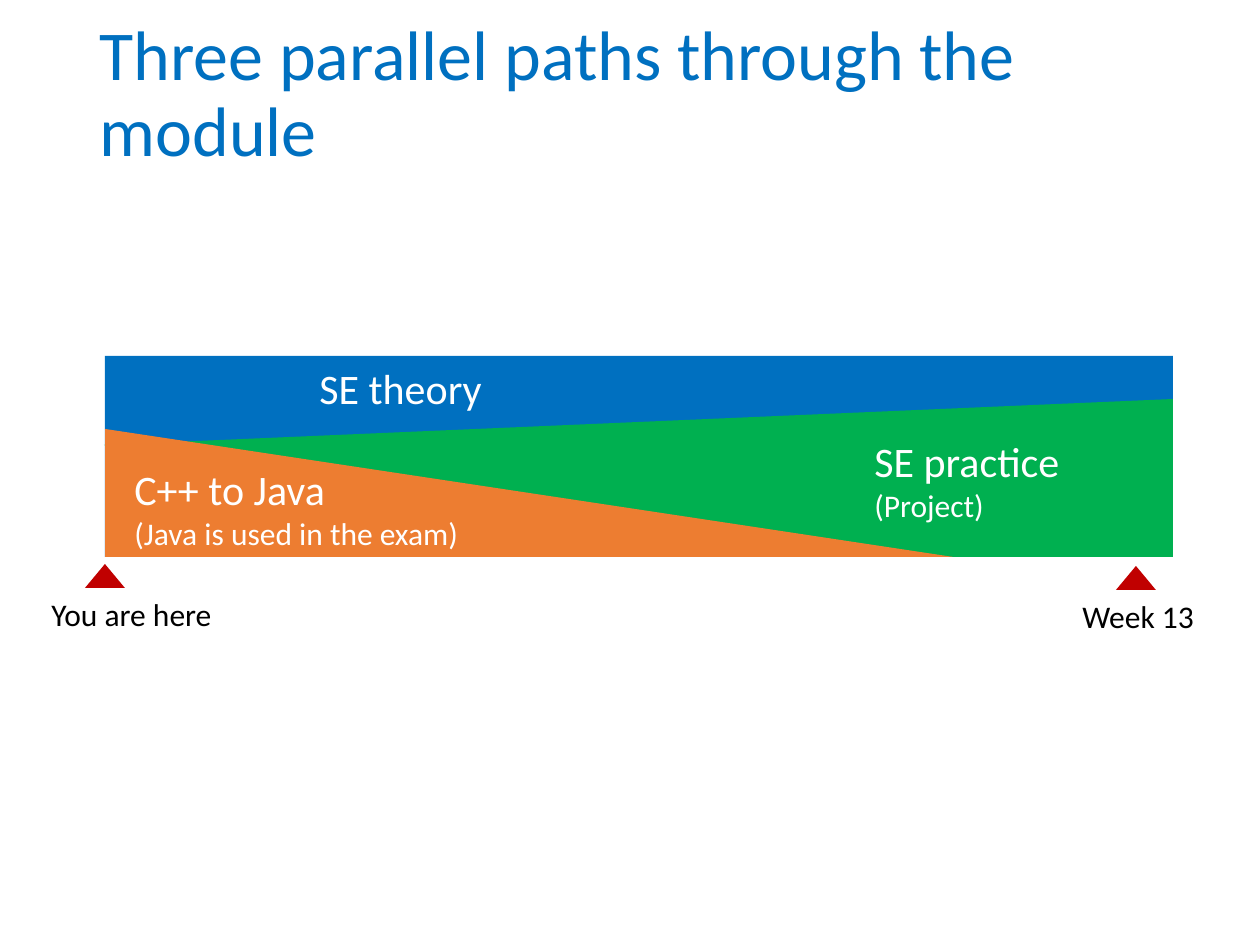
import pptx
import pptx.dml.color
import pptx.enum.shapes
import pptx.enum.text
import pptx.util

PX = 914400 / 126
FONT = "Calibri"
COLORS = {
    "theory": "0070C0",
    "practice": "00B050",
    "java": "ED7D31",
    "marker": "C00000",
    "light": "FFFFFF",
    "dark": "000000",
}
SHAPES = pptx.enum.shapes.MSO_SHAPE


def px(*lengths):
    return [pptx.util.Emu(round(length * PX)) for length in lengths]


def rgb(name):
    return pptx.dml.color.RGBColor.from_string(COLORS[name])


def paint(shape, color):
    shape.shadow.inherit = False
    shape.fill.solid()
    shape.fill.fore_color.rgb = rgb(color)
    shape.line.fill.background()


def style(paragraph, size, color):
    paragraph.font.name = FONT
    paragraph.font.size = pptx.util.Pt(size)
    paragraph.font.color.rgb = rgb(color)


def set_title(slide, text):
    title = slide.shapes.title
    title.left, title.top, title.width, title.height = px(87, 50, 1086, 92)
    frame = title.text_frame
    frame.text = text
    frame.word_wrap = True
    frame.auto_size = pptx.enum.text.MSO_AUTO_SIZE.NONE
    frame.vertical_anchor = pptx.enum.text.MSO_ANCHOR.MIDDLE
    heading = frame.paragraphs[0]
    heading.alignment = pptx.enum.text.PP_ALIGN.LEFT
    heading.line_spacing = 0.9
    style(heading, 40, "theory")


def add_preset(shapes, preset, box, color):
    paint(shapes.add_shape(preset, *px(*box)), color)


def add_area(shapes, corners, color):
    builder = shapes.build_freeform(*corners[0], scale=PX)
    builder.add_line_segments(corners[1:], close=True)
    paint(builder.convert_to_shape(), color)


def add_label(shapes, box, lines, color, wrap=False):
    """Add a text box; lines holds one (text, point size) pair per paragraph."""
    frame = shapes.add_textbox(*px(*box)).text_frame
    frame.word_wrap = wrap
    for number, (text, size) in enumerate(lines):
        paragraph = frame.add_paragraph() if number else frame.paragraphs[0]
        paragraph.text = text
        style(paragraph, size, color)


def add_milestone(shapes, marker_left, marker_top, label_left, label_width, text):
    """Add a marker under the band with its caption below."""
    label_box = (label_left, marker_top + 25, label_width, 50)
    add_label(shapes, label_box, [(text, 18)], "dark", wrap=True)
    add_preset(shapes, SHAPES.ISOSCELES_TRIANGLE,
               (marker_left, marker_top, 40, 24), "marker")


def main():
    presentation = pptx.Presentation()
    presentation.slide_width, presentation.slide_height = px(1260, 945)
    slide = presentation.slides.add_slide(presentation.slide_layouts[5])
    set_title(slide, "Three parallel paths through the module")

    paths = slide.shapes.add_group_shape().shapes
    add_preset(paths, SHAPES.RECTANGLE, (105, 356, 1068, 201), "theory")
    add_area(paths, [(1173, 557), (1173, 399), (104, 445), (713, 557)], "practice")
    add_label(paths, (862, 429, 213, 102),
              [("SE practice", 24), ("(Project)", 18)], "light")
    add_label(paths, (307, 356, 189, 88), [("SE theory", 24)], "light")
    add_preset(paths, SHAPES.RIGHT_TRIANGLE, (105, 429, 848, 128), "java")
    add_label(paths, (122, 457, 353, 102),
              [("C++ to Java", 24), ("(Java is used in the exam)", 18)], "light")

    add_milestone(slide.shapes, 85, 564, 39, 207, "You are here")
    add_milestone(slide.shapes, 1116, 566, 1070, 140, "Week 13")
    presentation.save("out.pptx")


if __name__ == "__main__":
    main()
